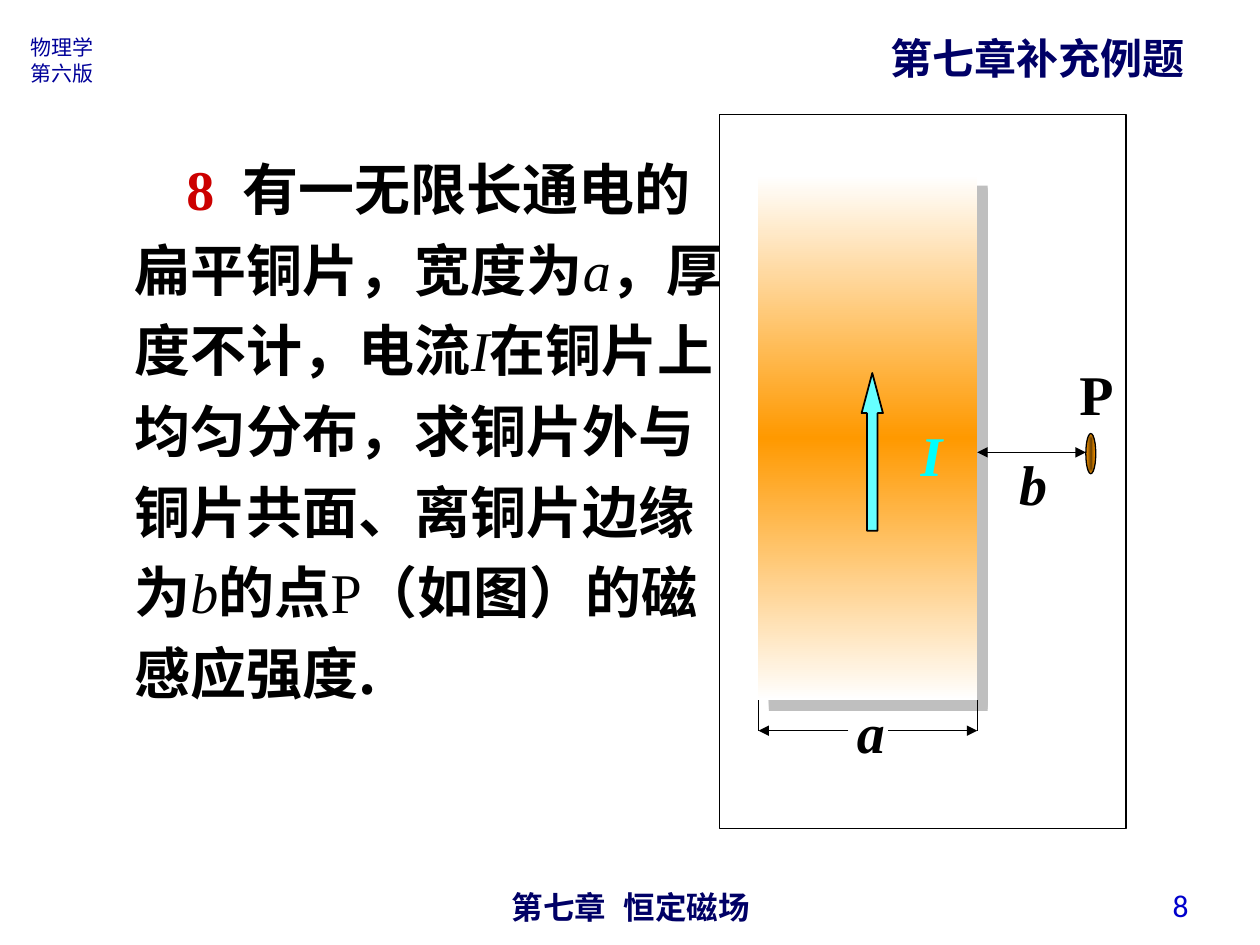
from lxml.etree import SubElement
from pptx import Presentation
from pptx.dml.color import RGBColor as RGB
from pptx.enum.shapes import MSO_CONNECTOR, MSO_SHAPE as Shape
from pptx.enum.text import MSO_ANCHOR as Anchor, PP_ALIGN as Align
from pptx.oxml import parse_xml
from pptx.oxml.ns import nsdecls, qn
from pptx.util import Cm, Pt


class Theme:
    cjk, serif, sans, number = "Noto Sans CJK SC", "Times New Roman", "Arial", "Calibri"
    black, navy, blue, page = "000000", "000066", "000099", "0000CC"
    red, cyan, arrow = "CC0000", "00FFFF", "66FFFF"
    white, copper, bronze, shade = "FFFFFF", "FF9900", "754600", "808080"
    tiny, normal, title, body = 12, 18, 24, 32
    hairline, outline = 0.75, 1


# Content: boxes are left, top, width, height in cm
BOLD = dict(font=Theme.cjk, bold=True)
SYMBOL = dict(font=Theme.serif, italic=True)
PROBLEM = [
    ("8  ", dict(font=Theme.serif, bold=True, color=Theme.red)),
    ("有一无限长通电的扁平铜片，宽度为", BOLD),
    ("a", SYMBOL),
    ("，厚度不计，电流", BOLD),
    ("I", SYMBOL),
    ("在铜片上均匀分布，求铜片外与铜片共面、离铜片边缘为", BOLD),
    ("b", SYMBOL),
    ("的点", BOLD),
    ("P", dict(font=Theme.serif)),
    ("（如图）的磁感应强度.", BOLD),
]
PAGE_TEXTS = [
    (["物理学", "第六版"], (0.36, 0.58, 1.83, 1.27),
     dict(size=Theme.tiny, color=Theme.blue)),
    (["第七章  恒定磁场"], (8.69, 17.78, 8.05, 0.74),
     dict(size=Theme.normal, color=Theme.navy, font=Theme.sans, bold=True, align=Align.CENTER)),
    (["第七章补充例题"], (17.7, 0.53, 6.43, 1.27),
     dict(size=Theme.title, color=Theme.navy, bold=True, wrap=False)),
    ([PROBLEM], (2.46, 2.72, 12.62, 11.63),
     dict(size=Theme.body, anchor=Anchor.MIDDLE, spacing=1.2, indent=1.05)),
    (["8"], (18.29, 17.73, 5.92, 1.02),
     dict(size=Theme.normal, color=Theme.page, font=Theme.number, align=Align.RIGHT,
          anchor=Anchor.MIDDLE)),
]
LABEL_HEIGHT = 1.63
LABELS = [  # text, left, top, width, format
    ("P", 21.51, 7.11, 1.19, {}),
    ("a", 17.02, 13.92, 1.07, dict(italic=True)),
    ("I", 18.31, 8.33, 0.94, dict(italic=True, color=Theme.cyan)),
    ("b", 20.29, 8.92, 1.07, dict(italic=True)),
]
FRAME = (14.5, 2.31, 8.2, 14.4)
SLAB = (15.29, 3.53, 4.41, 10.59)
POINT = (21.89, 8.74, 0.2, 0.81)
CURRENT = (17.37, 7.52, 0.43, 3.18)

# Dimension lines follow the slab edges
left, right = SLAB[0], SLAB[0] + SLAB[2]
bottom = SLAB[1] + SLAB[3]
width_y, gap_y = bottom + 0.61, 9.12
LINES = [  # x1, y1, x2, y2, arrowhead ends
    (left, bottom, left, width_y, ()),
    (right, bottom, right, width_y, ()),
    (17.9, width_y, right, width_y, ("tailEnd",)),
    (17.1, width_y, left, width_y, ("tailEnd",)),
    (right, gap_y, POINT[0], gap_y, ("headEnd", "tailEnd")),
]


def add_text(paragraphs, box, size, color=Theme.black, font=Theme.cjk, bold=False,
             italic=False, align=Align.LEFT, anchor=Anchor.TOP, wrap=True,
             spacing=None, indent=0):
    frame = slide.shapes.add_textbox(*map(Cm, box)).text_frame
    frame.word_wrap, frame.vertical_anchor = wrap, anchor
    base = dict(font=font, bold=bold, italic=italic, color=color)
    for index, content in enumerate(paragraphs):
        paragraph = frame.add_paragraph() if index else frame.paragraphs[0]
        paragraph.alignment = align
        if spacing:
            paragraph.line_spacing = spacing
        if indent:
            paragraph._p.get_or_add_pPr().set("indent", str(Cm(indent)))
        for words, changes in [(content, {})] if isinstance(content, str) else content:
            style = {**base, **changes}
            run = paragraph.add_run()
            run.text = words
            run.font.size, run.font.name = Pt(size), style["font"]
            run.font.bold, run.font.italic = style["bold"], style["italic"]
            run.font.color.rgb = RGB.from_string(style["color"])
            SubElement(run._r.rPr, qn("a:ea"), typeface=style["font"])


def add_figure(kind, box, fill=None, line=None):
    figure = slide.shapes.add_shape(kind, *map(Cm, box))
    figure.shadow.inherit = False
    if fill:
        figure.fill.solid()
        figure.fill.fore_color.rgb = RGB.from_string(fill)
    else:
        figure.fill.background()
    if line:
        figure.line.color.rgb = RGB.from_string(Theme.black)
        figure.line.width = Pt(line)
    else:
        figure.line.fill.background()
    return figure


def set_gradient(figure, stops, direction):
    colors = "".join(f'<a:gs pos="{at * 1000}"><a:srgbClr val="{color}"/></a:gs>'
                     for at, color in stops)
    gradient = parse_xml(f'<a:gradFill {nsdecls("a")} rotWithShape="1">'
                         f'<a:gsLst>{colors}</a:gsLst>{direction}</a:gradFill>')
    properties = figure._element.spPr
    properties.replace(properties.find(qn("a:noFill")), gradient)


def add_line(x1, y1, x2, y2, ends):
    line = slide.shapes.add_connector(MSO_CONNECTOR.STRAIGHT, *map(Cm, (x1, y1, x2, y2)))
    line.line.color.rgb = RGB.from_string(Theme.black)
    line.line.width = Pt(Theme.hairline)
    for end in ends:
        SubElement(line.line._get_or_add_ln(), qn(f"a:{end}"), type="triangle")
    SubElement(line._element.spPr, qn("a:effectLst"))


deck = Presentation()
deck.slide_width, deck.slide_height = Cm(25.4), Cm(19.05)
slide = deck.slides.add_slide(deck.slide_layouts[6])

# Header, problem, footer
for paragraphs, box, style in PAGE_TEXTS:
    add_text(paragraphs, box, **style)

# Copper slab with offset shadow
slab = add_figure(Shape.RECTANGLE, SLAB)
set_gradient(slab, [(0, Theme.white), (50, Theme.copper), (100, Theme.white)],
             '<a:lin ang="5400000" scaled="1"/>')
slab._element.spPr.find(qn("a:effectLst")).append(parse_xml(
    f'<a:outerShdw {nsdecls("a")} dist="{Pt(8.5)}" dir="2700000" algn="ctr" rotWithShape="0">'
    f'<a:srgbClr val="{Theme.shade}"><a:alpha val="50000"/></a:srgbClr></a:outerShdw>'))

# Dimension lines and point P
for line in LINES:
    add_line(*line)
point = add_figure(Shape.OVAL, POINT, line=Theme.hairline)
set_gradient(point, [(0, Theme.bronze), (100, Theme.copper)],
             '<a:path path="rect"><a:fillToRect l="50000" t="50000" r="50000" b="50000"/></a:path>')

# Frame, current arrow, labels
add_figure(Shape.RECTANGLE, FRAME, line=Theme.hairline)
current = add_figure(Shape.UP_ARROW, CURRENT, Theme.arrow, Theme.outline)
current.adjustments[0], current.adjustments[1] = 0.5, 1.88
for label, x, y, width, style in LABELS:
    add_text([label], (x, y, width, LABEL_HEIGHT), Theme.body, font=Theme.serif, bold=True,
             align=Align.CENTER, anchor=Anchor.MIDDLE, wrap=False, **style)

deck.save("out.pptx")
